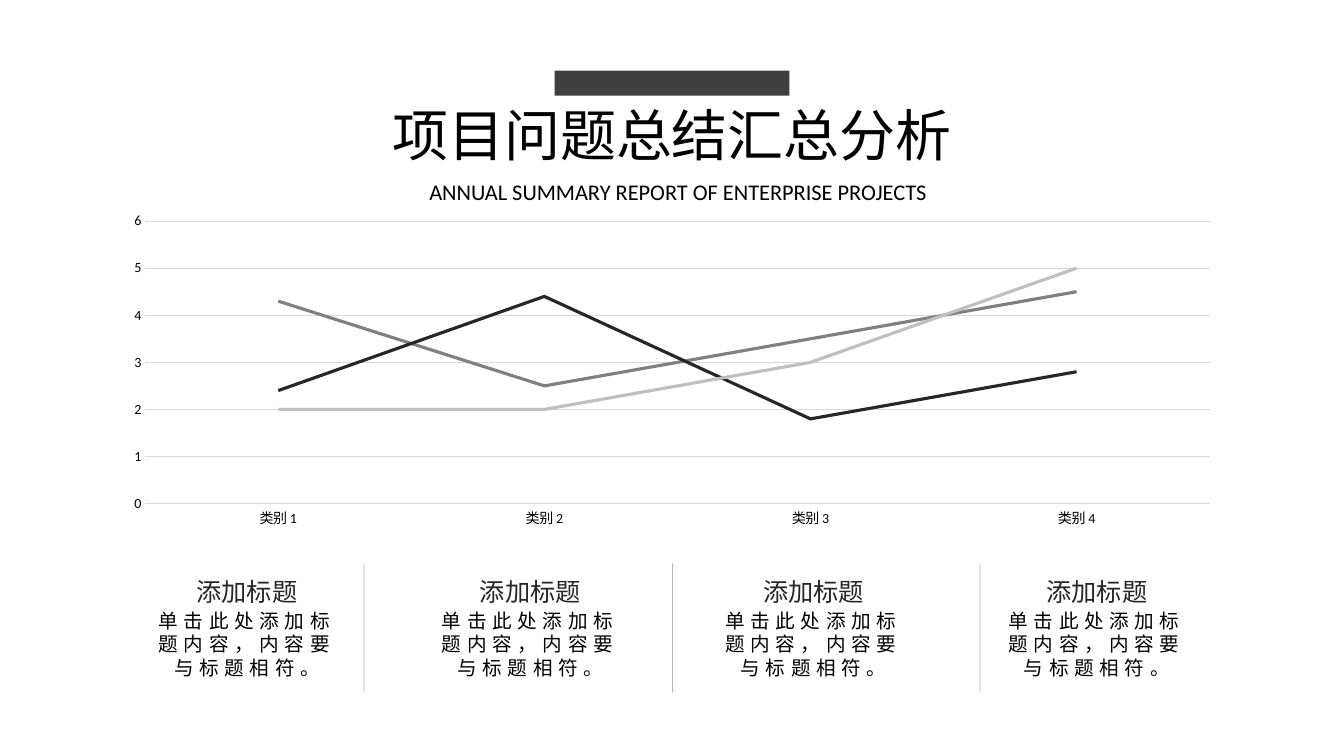
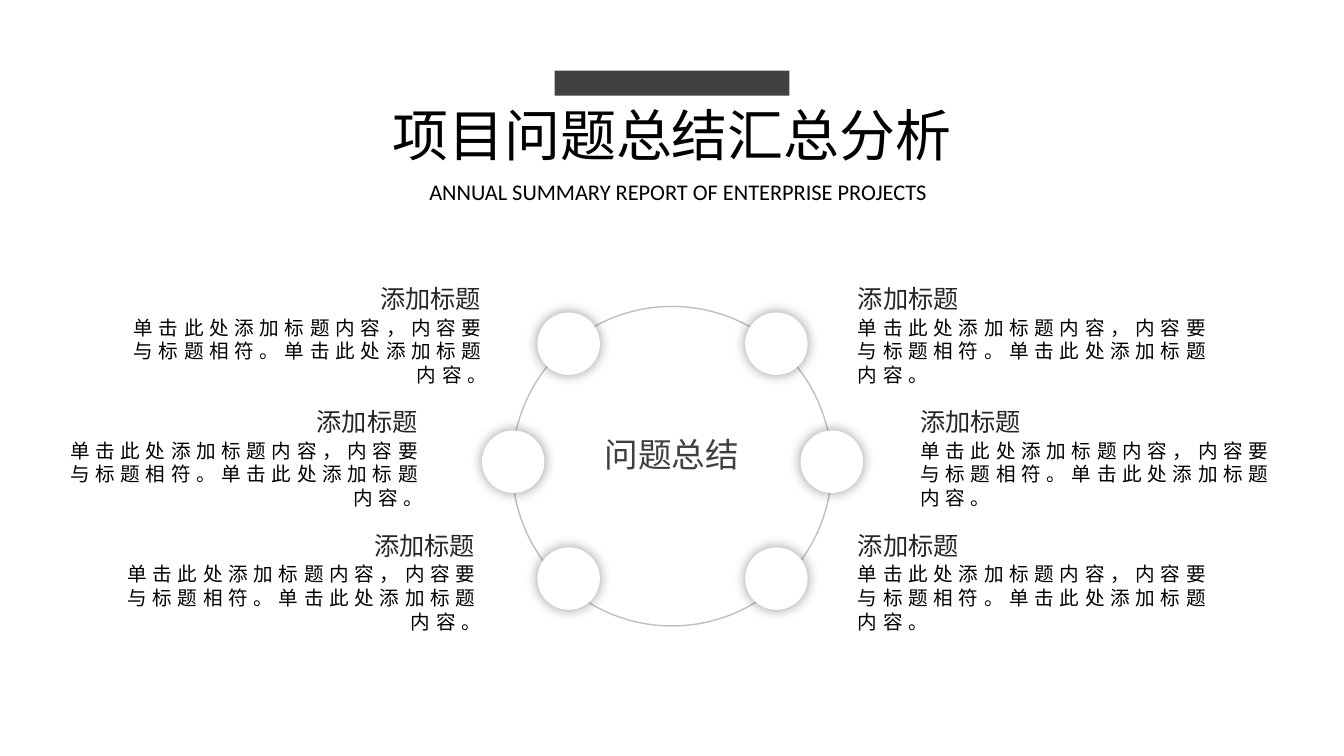
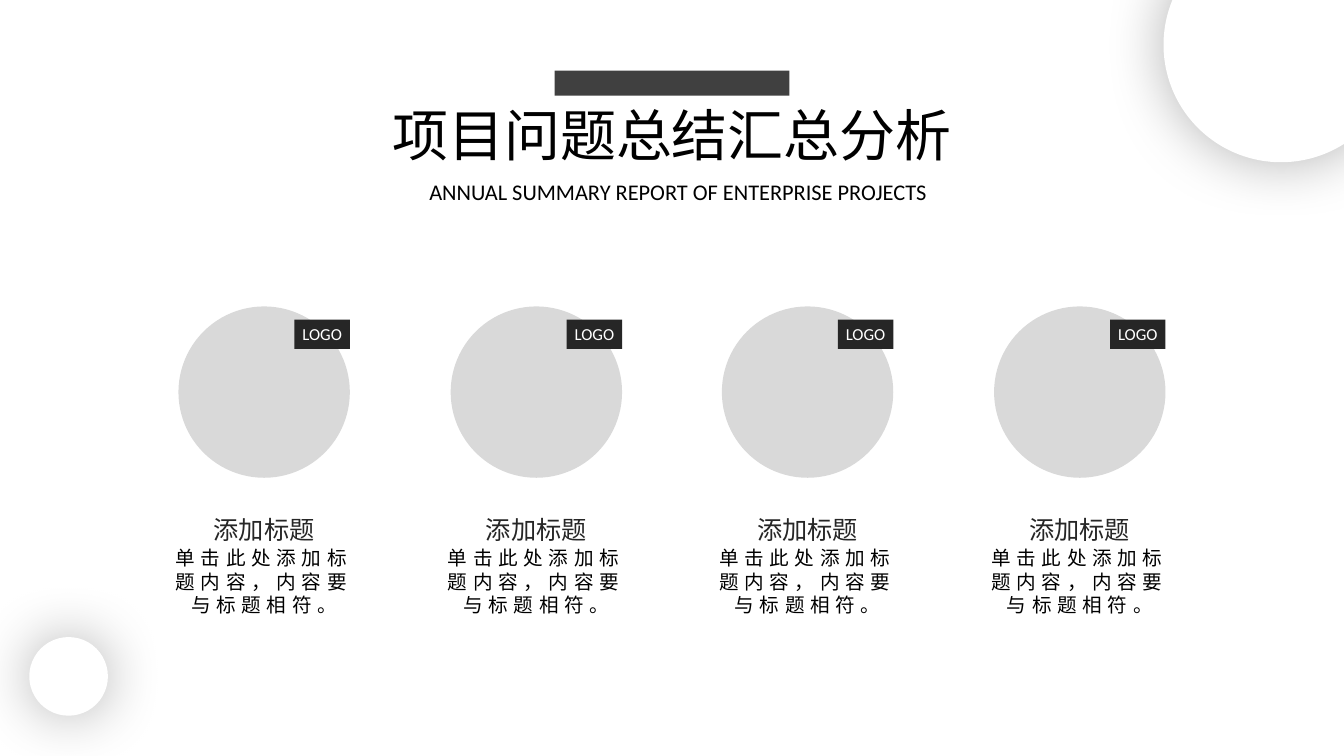
from lxml import etree
from pptx import Presentation
from pptx.chart.data import CategoryChartData
from pptx.dml.color import RGBColor
from pptx.enum import chart as ch, shapes, text
from pptx.oxml.ns import qn
from pptx.util import Inches, Pt

# Content
TITLE = "项目问题总结汇总分析"
SUB = "ANNUAL SUMMARY REPORT OF ENTERPRISE PROJECTS"
HEAD = "添加标题"
SHORT = "单击此处添加标题内容，内容要与标题相符。"
LONG = SHORT + "单击此处添加标题内容。"
HUB = "问题总结"
TAG = "LOGO"
CATS = ["类别 1", "类别 2", "类别 3", "类别 4"]
LINES = [
    ("Series 1", (4.3, 2.5, 3.5, 4.5), "808080"),
    ("Series 2", (2.4, 4.4, 1.8, 2.8), "262626"),
    ("Series 3", (2, 2, 3, 5), "BFBFBF"),
]
# Ring rows: node offset from centre, left text edge, right text edge
ROWS = [(1.03, 4.93, 8.41), (1.58, 4.3, 9.03), (1.03, 4.87, 8.41)]

# Style
FONT = "Calibri"
BLACK, INK, BAND = "000000", "262626", "404040"
WHITE, PALE, GRID, RULE = "FFFFFF", "BFBFBF", "D9D9D9", "A6A6A6"
MID = 13.33 / 2
LEFT, CENTER, RIGHT = (text.PP_ALIGN.LEFT, text.PP_ALIGN.CENTER,
                       text.PP_ALIGN.RIGHT)
OVAL, RECT = shapes.MSO_SHAPE.OVAL, shapes.MSO_SHAPE.RECTANGLE


def rgb(code):
    return RGBColor.from_string(code)


def box(*at):
    return [Inches(round(n, 2)) for n in at]


def sub(node, tag, **attrs):
    return etree.SubElement(node, qn(tag), attrs)


def write(shape, words, size, color=BLACK, align=CENTER, gap=0):
    frame = shape.text_frame
    frame.word_wrap = True
    para = frame.paragraphs[0]
    para.alignment, para.line_spacing = align, 1.0
    run = para.add_run()
    run.text = words
    look = {"name": FONT, "size": Pt(size), "bold": False}
    for key, val in look.items():
        setattr(run.font, key, val)
    run.font.color.rgb = rgb(color)
    props = run.font._element
    sub(props, "a:ea", typeface=FONT)
    if gap:
        props.set("spc", str(gap * 100))
    return frame


def label(slide, at, words, size, **look):
    frame = write(slide.shapes.add_textbox(*box(*at)), words, size, **look)
    frame.auto_size = text.MSO_AUTO_SIZE.SHAPE_TO_FIT_TEXT


def draw(slide, kind, at, fill=None, line=None, glow=None):
    shape = slide.shapes.add_shape(kind, *box(*at))
    shape.shadow.inherit = False
    if fill:
        shape.fill.solid()
        shape.fill.fore_color.rgb = rgb(fill)
    else:
        shape.fill.background()
    if line:
        shape.line.color.rgb = rgb(line)
        shape.line.width = Pt(1)
    else:
        shape.line.fill.background()
    if glow:
        alpha, blur = glow
        effects = shape._element.spPr.find(qn("a:effectLst"))
        shade = sub(effects, "a:outerShdw", blurRad=str(Pt(blur)), dist="0",
                    dir="0", algn="ctr", rotWithShape="0")
        color = sub(shade, "a:srgbClr", val=BLACK)
        sub(color, "a:alpha", val=str(alpha * 1000))
    return shape


def note(slide, left, top, wide, words, align=CENTER):
    """Heading over a spaced body text."""
    slack = {LEFT: 0, CENTER: (wide - 1.66) / 2, RIGHT: wide - 1.72}[align]
    label(slide, (left, top + 0.32, wide, 0.81), words, 14, align=align, gap=4)
    label(slide, (left + slack, top, 1.66, 0.4), HEAD, 18, color=INK,
          align=align)


def start(deck):
    """New slide with the shared title, subtitle and band."""
    slide = deck.slides.add_slide(deck.slide_layouts[5])
    title = slide.shapes.title
    title.left, title.top, title.width, title.height = box(3.47, 0.95, 6.39, 0.77)
    frame = write(title, TITLE, 40)
    frame.vertical_anchor = text.MSO_ANCHOR.TOP
    frame.auto_size = text.MSO_AUTO_SIZE.SHAPE_TO_FIT_TEXT
    label(slide, (3.58, 1.72, 6.29, 0.37), SUB, 16)
    draw(slide, RECT, (5.5, 0.7, 2.33, 0.25), BAND)
    return slide


def trend(deck):
    slide = start(deck)
    # Line chart
    data = CategoryChartData()
    data.categories = CATS
    for name, vals, _ in LINES:
        data.add_series(name, vals)
    chart = slide.shapes.add_chart(ch.XL_CHART_TYPE.LINE,
                                   *box(1.11, 2.05, 11.11, 3.25), data).chart
    chart.has_legend = chart.has_title = False
    chart.font.name, chart.font.size = FONT, Pt(10)
    chart.font.color.rgb = rgb(BLACK)
    plot = chart.plots[0]
    plot.vary_by_categories = False
    for serie, (_, _, color) in zip(plot.series, LINES):
        serie.smooth = False
        serie.marker.style = ch.XL_MARKER_STYLE.NONE
        serie.format.line.color.rgb = rgb(color)
        serie.format.line.width = Pt(2.25)
    cat, val = chart.category_axis, chart.value_axis
    for axis in (cat, val):
        axis.major_tick_mark = axis.minor_tick_mark = ch.XL_TICK_MARK.NONE
    val.minimum_scale, val.maximum_scale, val.major_unit = 0, 6, 1
    val.format.line.fill.background()
    for part in (cat, val.major_gridlines):
        part.format.line.color.rgb = rgb(GRID)
        part.format.line.width = Pt(0.75)
    # Dividers
    for i in (-1, 0, 1):
        x = MID + i * 3.055
        rule = slide.shapes.add_connector(shapes.MSO_CONNECTOR.STRAIGHT,
                                          *box(x, 5.59, x, 6.87))
        rule.line.color.rgb = rgb(RULE)
        rule.line.width = Pt(0.5)
        props = rule._element.spPr
        sub(next(props.iter(qn("a:srgbClr"))), "a:alpha", val="82000")
        sub(props, "a:effectLst")
    # Notes
    for i in range(4):
        note(slide, 1.43 + i * 2.81, 5.67, 2.04, SHORT)


def ring(deck):
    slide = start(deck)
    wide, node = 3.87, 0.62
    # Notes on both sides
    for i, (_, left, right) in enumerate(ROWS):
        top = 2.76 + i * 1.225
        note(slide, left - wide, top, wide, LONG, RIGHT)
        note(slide, right, top, wide, LONG, LEFT)
    # Ring and its nodes
    draw(slide, OVAL, (5.08, 3.04, 3.17, 3.17), line=PALE)
    for i, (off, _, _) in enumerate(ROWS):
        for side in (-1, 1):
            at = (MID + side * off - node / 2, 3.1 + i * 1.165, node, node)
            draw(slide, OVAL, at, WHITE, glow=(40, 9))
    label(slide, (5.8, 4.26, 1.73, 0.5), HUB, 24, color=BAND)


def discs(deck):
    slide = start(deck)
    for i in range(4):
        x = 1.77 + i * 2.697
        draw(slide, OVAL, (x, 3.04, 1.7, 1.7), GRID)
        tag = draw(slide, RECT, (x + 1.15, 3.17, 0.55, 0.29), INK)
        frame = write(tag, TAG, 12, WHITE)
        frame.margin_left = frame.margin_right = 0
        frame.margin_top = frame.margin_bottom = 0
        frame.vertical_anchor = text.MSO_ANCHOR.MIDDLE
        note(slide, x - 0.17, 5.05, 2.04, SHORT)
    # Corner discs
    for x, y, size in ((0.29, 6.32, 0.78), (11.54, -0.72, 2.33)):
        draw(slide, OVAL, (x, y, size, size), WHITE, glow=(30, 43))


def main():
    deck = Presentation()
    deck.slide_width, deck.slide_height = box(13.33, 7.5)
    for build in (trend, ring, discs):
        build(deck)
    deck.save("out.pptx")


if __name__ == "__main__":
    main()
